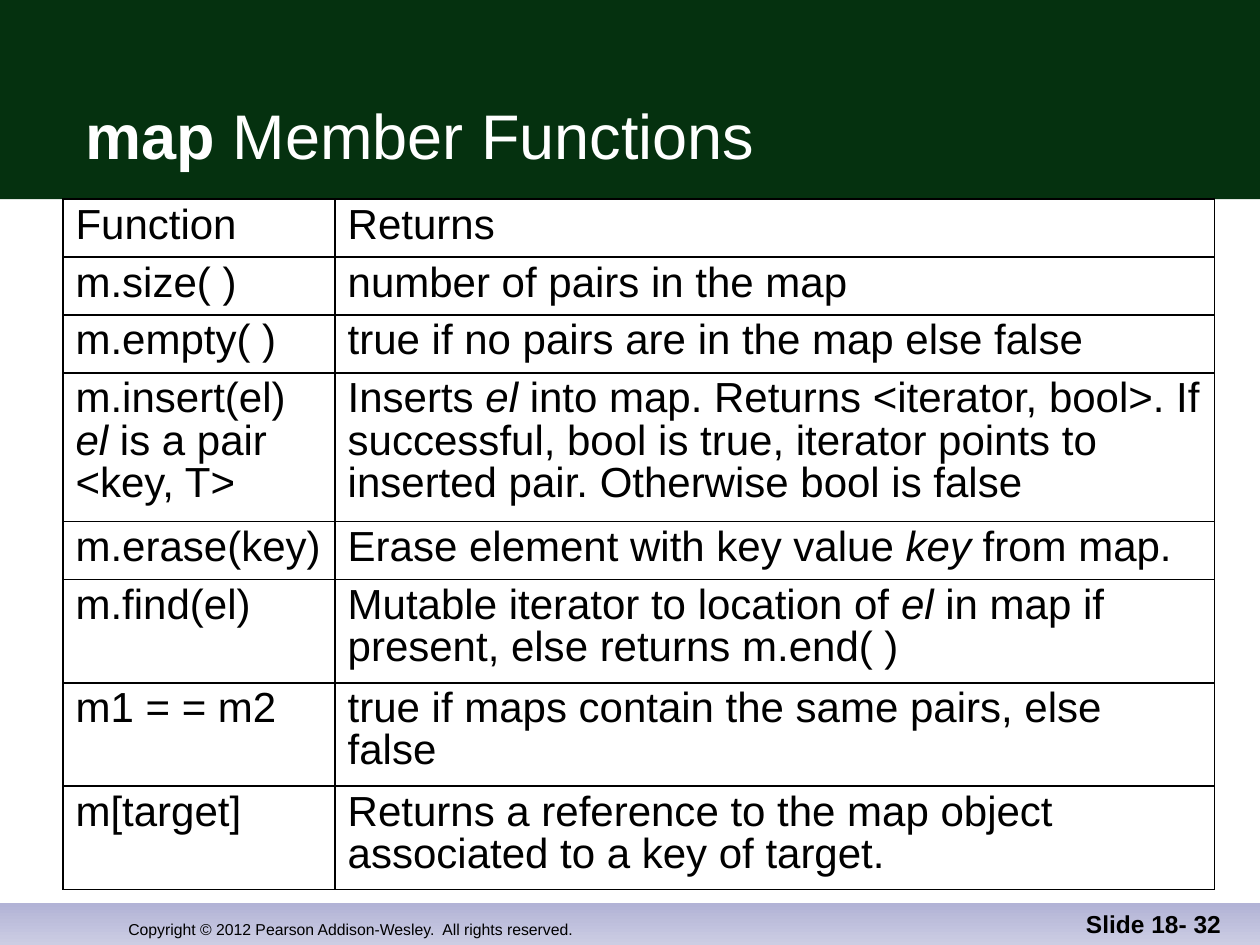
from lxml.etree import SubElement
from pptx import Presentation
from pptx.dml.color import RGBColor
from pptx.enum.shapes import MSO_SHAPE
from pptx.enum.text import MSO_ANCHOR, MSO_AUTO_SIZE, PP_ALIGN
from pptx.oxml.ns import qn
from pptx.util import Inches, Pt

BLACK = RGBColor(0x00, 0x00, 0x00)
WHITE = RGBColor(0xFF, 0xFF, 0xFF)
GREEN = RGBColor(0x05, 0x31, 0x0F)
LAVENDER = RGBColor(0xB2, 0xB3, 0xD6)
PALE_LAVENDER = RGBColor(0xCC, 0xCD, 0xE3)
FONT = "Arial"

SLIDE_WIDTH, SLIDE_HEIGHT = 10, 7.5
HEADER_HEIGHT, FOOTER_HEIGHT = 1.58, 0.33
TITLE_RUNS = [("map", True), (" Member Functions", False)]
COPYRIGHT = "Copyright © 2012 Pearson Addison-Wesley.  All rights reserved."
SLIDE_NUMBER = "Slide 18- 32"

# Asterisks enclose italic words; a newline starts a paragraph.
FUNCTIONS = [
    ("Function", "Returns"),
    ("m.size( )", "number of pairs in the map"),
    ("m.empty( )", "true if no pairs are in the map else false"),
    ("m.insert(el)\n*el* is a pair\n<key, T>",
     "Inserts *el* into map. Returns <iterator, bool>. If successful, bool is true, "
     "iterator points to inserted pair. Otherwise bool is false"),
    ("m.erase(key)", "Erase element with key value *key* from map."),
    ("m.find(el)",
     "Mutable iterator to location of *el* in map if present, else returns m.end( )"),
    ("m1 = = m2", "true if maps contain the same pairs, else false"),
    ("m[target]", "Returns a reference to the map object associated to a key of target."),
]
COLUMN_WIDTHS = [2.16, 6.98]
ONE_LINE, TWO_LINES, THREE_LINES = 0.46, 0.82, 1.18
ROW_HEIGHTS = [ONE_LINE] * 3 + [THREE_LINES, ONE_LINE] + [TWO_LINES] * 3


def style(font, size, color=BLACK, bold=False, italic=False):
    font.name, font.size = FONT, Pt(size)
    font.color.rgb = color
    font.bold, font.italic = bold, italic


def add_band(slide, top, height):
    band = slide.shapes.add_shape(
        MSO_SHAPE.RECTANGLE, 0, Inches(top), Inches(SLIDE_WIDTH), Inches(height))
    band.shadow.inherit = False
    band.line.fill.background()
    return band


def add_footer_text(slide, text, left, width, size, bold, alignment):
    box = slide.shapes.add_textbox(
        Inches(left), Inches(SLIDE_HEIGHT - 0.5), Inches(width), Inches(0.5))
    frame = box.text_frame
    frame.word_wrap = True
    frame.vertical_anchor = MSO_ANCHOR.BOTTOM
    frame.text = text
    frame.paragraphs[0].alignment = alignment
    style(frame.paragraphs[0].runs[0].font, size, bold=bold)


def set_borders(cell):
    properties = cell._tc.get_or_add_tcPr()
    for position, side in enumerate(("a:lnL", "a:lnR", "a:lnT", "a:lnB")):
        line = SubElement(properties, qn(side), w=str(Pt(1.08)))
        fill = SubElement(line, qn("a:solidFill"))
        SubElement(fill, qn("a:srgbClr"), val=str(BLACK))
        properties.insert(position, line)


def fill_cell(cell, text):
    cell.fill.background()
    set_borders(cell)
    cell.text = text.replace("*", "")
    for paragraph, line in zip(cell.text_frame.paragraphs, text.split("\n")):
        paragraph.text = ""
        paragraph.line_spacing = 0.9
        for index, part in enumerate(line.split("*")):
            if part:
                run = paragraph.add_run()
                run.text = part
                style(run.font, 24, italic=index % 2 == 1)


def add_title(slide):
    title = slide.shapes.title
    title.left, title.top = Inches(0.58), Inches(0.33)
    title.width, title.height = Inches(9.08), Inches(1.09)
    frame = title.text_frame
    frame.auto_size = MSO_AUTO_SIZE.NONE
    frame.vertical_anchor = MSO_ANCHOR.BOTTOM
    paragraph = frame.paragraphs[0]
    paragraph.alignment = PP_ALIGN.LEFT
    for text, bold in TITLE_RUNS:
        run = paragraph.add_run()
        run.text = text
        style(run.font, 36, WHITE, bold)
    # Bring the title in front of the header band.
    slide.shapes._spTree.append(title._element)


def add_function_table(slide):
    table = slide.shapes.add_table(
        len(FUNCTIONS), len(COLUMN_WIDTHS), Inches(0.5), Inches(HEADER_HEIGHT),
        Inches(sum(COLUMN_WIDTHS)), Inches(sum(ROW_HEIGHTS))).table
    table.first_row = table.horz_banding = False
    for column, width in zip(table.columns, COLUMN_WIDTHS):
        column.width = Inches(width)
    for row, height, texts in zip(table.rows, ROW_HEIGHTS, FUNCTIONS):
        row.height = Inches(height)
        for cell, text in zip(row.cells, texts):
            fill_cell(cell, text)


def main():
    deck = Presentation()
    deck.slide_width, deck.slide_height = Inches(SLIDE_WIDTH), Inches(SLIDE_HEIGHT)
    slide = deck.slides.add_slide(deck.slide_layouts[5])

    footer = add_band(slide, SLIDE_HEIGHT - FOOTER_HEIGHT, FOOTER_HEIGHT)
    footer.fill.gradient()
    footer.fill.gradient_angle = 270
    for stop, color in zip(footer.fill.gradient_stops, (LAVENDER, PALE_LAVENDER)):
        stop.color.rgb = color
    header = add_band(slide, 0, HEADER_HEIGHT)
    header.fill.solid()
    header.fill.fore_color.rgb = GREEN

    add_footer_text(slide, COPYRIGHT, 0.92, 4.92, 9, False, PP_ALIGN.LEFT)
    add_title(slide)
    add_function_table(slide)
    add_footer_text(slide, SLIDE_NUMBER, 7.71, 2.08, 14, True, PP_ALIGN.RIGHT)
    deck.save("out.pptx")


if __name__ == "__main__":
    main()
